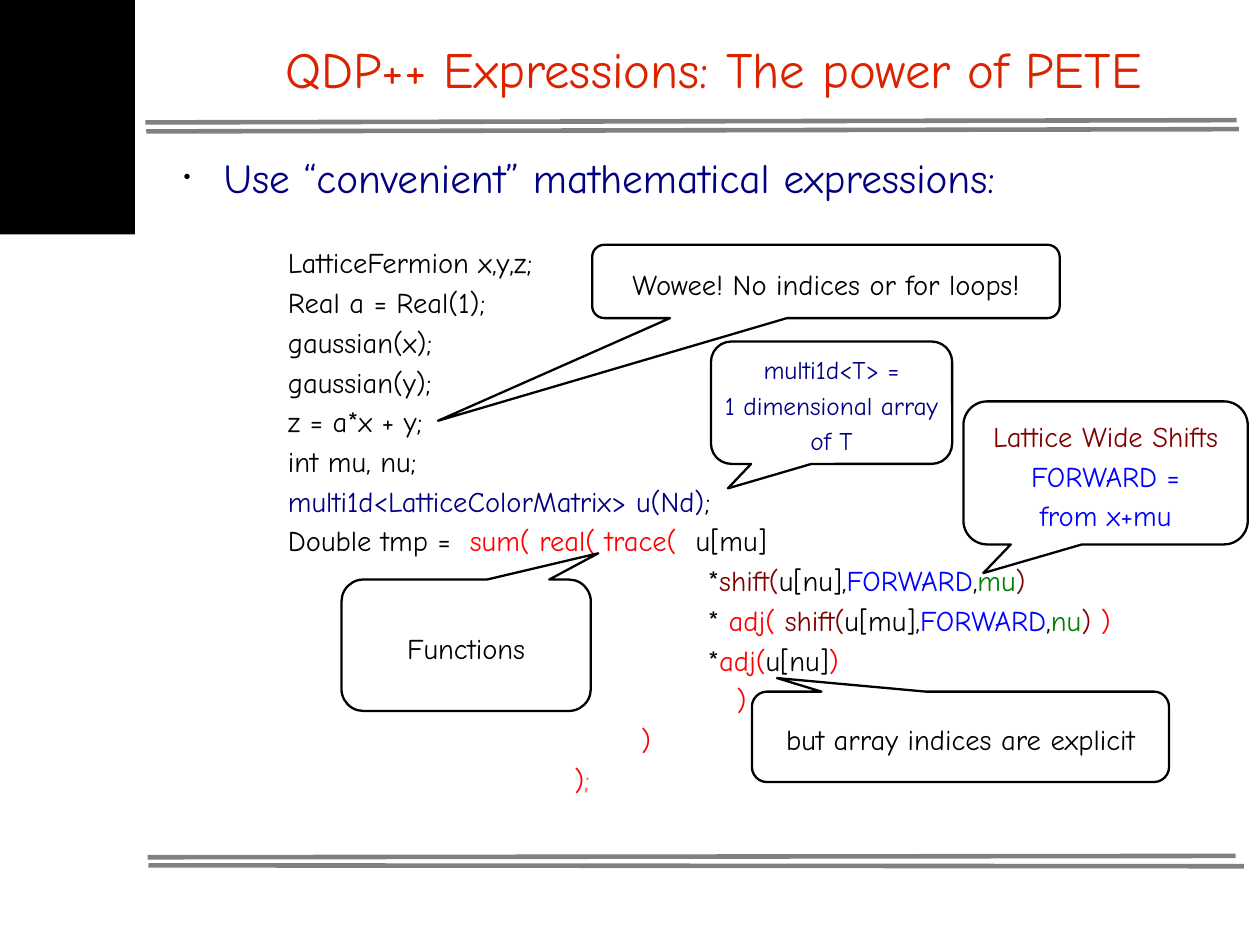
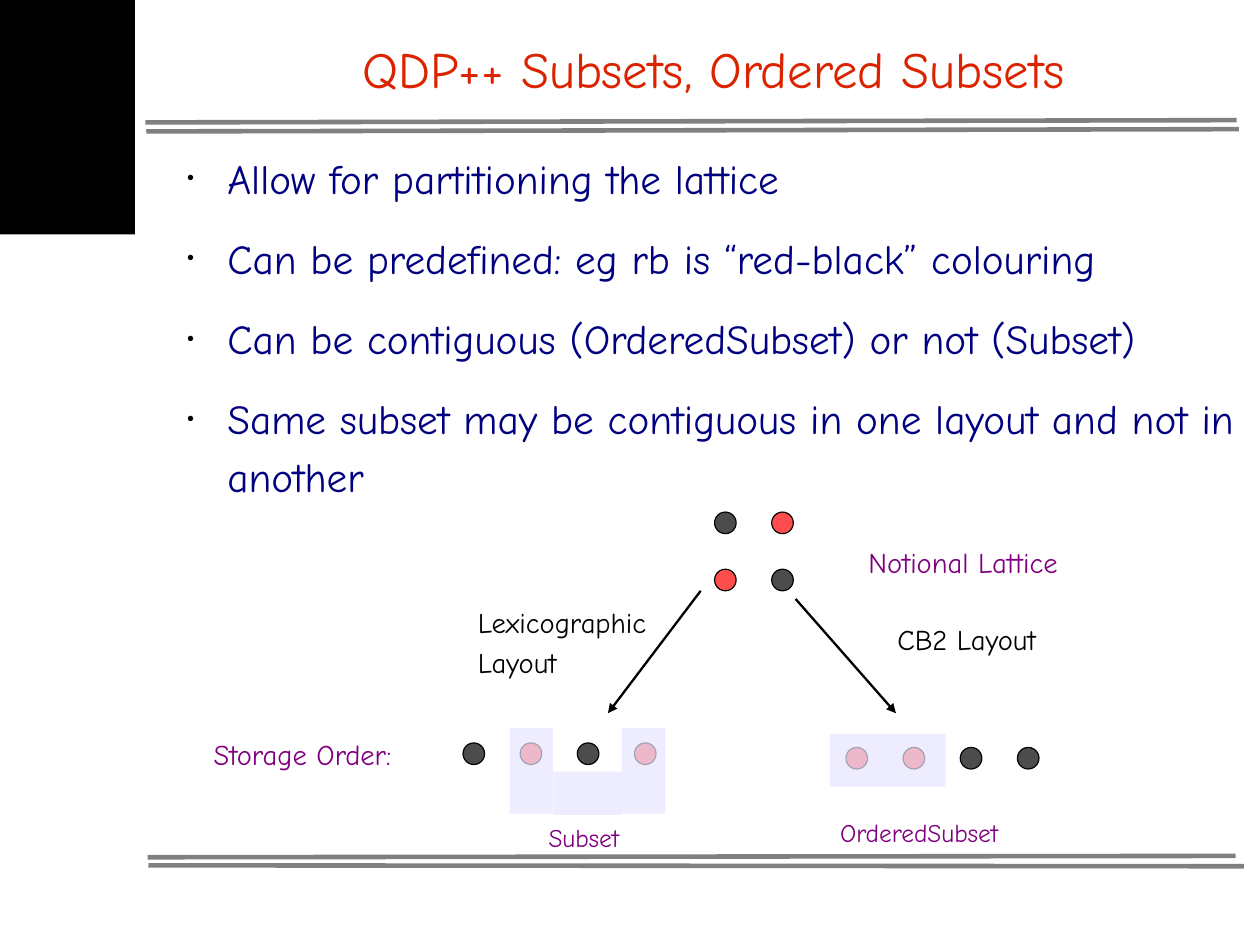
from dataclasses import dataclass
from typing import Optional

from lxml import etree
from pptx import Presentation
from pptx.dml.color import RGBColor
from pptx.enum.shapes import MSO_CONNECTOR, MSO_SHAPE
from pptx.enum.text import MSO_ANCHOR, MSO_AUTO_SIZE, PP_ALIGN
from pptx.oxml.ns import qn
from pptx.util import Cm, Pt

BLACK = RGBColor(0x00, 0x00, 0x00)
GREY = RGBColor(0x80, 0x80, 0x80)
TITLE_RED = RGBColor(0xDC, 0x23, 0x00)
NAVY = RGBColor(0x00, 0x00, 0x80)
RED = RGBColor(0xFF, 0x00, 0x00)
MAROON = RGBColor(0x80, 0x00, 0x00)
BLUE = RGBColor(0x00, 0x00, 0xFF)
GREEN = RGBColor(0x00, 0x80, 0x00)
ORANGE = RGBColor(0xFF, 0x66, 0x33)
PURPLE = RGBColor(0x80, 0x00, 0x80)
LAVENDER = RGBColor(0xE6, 0xE6, 0xFF)

LEFT, CENTER = PP_ALIGN.LEFT, PP_ALIGN.CENTER
TOP, MIDDLE = MSO_ANCHOR.TOP, MSO_ANCHOR.MIDDLE
NO_AUTOFIT = MSO_AUTO_SIZE.NONE
STRAIGHT = MSO_CONNECTOR.STRAIGHT
RECTANGLE, OVAL = MSO_SHAPE.RECTANGLE, MSO_SHAPE.OVAL
CALLOUT = MSO_SHAPE.ROUNDED_RECTANGULAR_CALLOUT

FONT = "Comic Neue"
LINE_SPACING = 1.16
OPACITY = 70
DOT_SIZE = 0.48
DOT_PITCH = 1.27
WIDE_INSETS = (0.28, 0.15)
LABEL_INSETS = (0.25, 0.13)
CODE_INDENT = " " * 44


@dataclass(frozen=True)
class Run:
    text: str
    color: RGBColor = BLACK


@dataclass(frozen=True)
class Box:
    left: float
    top: float
    width: float
    height: float

    def lengths(self) -> tuple:
        return Cm(self.left), Cm(self.top), Cm(self.width), Cm(self.height)


@dataclass(frozen=True)
class Line:
    start: tuple
    end: tuple


@dataclass(frozen=True)
class Callout:
    box: Box
    tip: tuple
    lines: list
    size: int = 18


@dataclass(frozen=True)
class Label:
    box: Box
    lines: list
    size: int = 18
    insets: tuple = LABEL_INSETS


@dataclass(frozen=True)
class DotRow:
    left: float
    top: float
    colors: tuple


RULES = [
    Line((3.23, 2.72), (27.48, 2.67)),
    Line((3.25, 2.92), (27.53, 2.87)),
    Line((3.28, 19.05), (27.46, 19.02)),
    Line((3.3, 19.23), (27.64, 19.25)),
]
CORNER = Box(0, 0, 3, 5.21)
TITLE_BOX = Box(3.99, 0.28, 23.75, 2.24)

CODE_BOX = Box(6.12, 5.18, 19.18, 12.67)
CODE = [
    [Run("LatticeFermion x,y,z;")],
    [Run("Real a = Real(1);")],
    [Run("gaussian(x);")],
    [Run("gaussian(y);")],
    [Run("z = a*x + y;")],
    [Run("int mu, nu;")],
    [Run("multi1d<LatticeColorMatrix> u(Nd)", NAVY), Run(";")],
    [Run("Double tmp =  "), Run("sum( real( trace( ", RED), Run(" u[mu]")],
    [Run(CODE_INDENT + "*"), Run("shift(", MAROON), Run("u[nu],"),
     Run("FORWARD", BLUE), Run(","), Run("mu", GREEN), Run(")", MAROON)],
    [Run(CODE_INDENT + "* "), Run("adj( ", RED), Run("shift(", MAROON),
     Run("u[mu],"), Run("FORWARD", BLUE), Run(","), Run("nu", GREEN),
     Run(") ", MAROON), Run(")", RED)],
    [Run(CODE_INDENT + "*"), Run("adj(", RED), Run("u[nu]"), Run(")", RED)],
    [Run(" " * 47 + ")", RED)],
    [Run(" " * 37 + ")", RED)],
    [Run(" " * 30 + ")", RED), Run(";", ORANGE)],
]
CALLOUTS = [
    Callout(Box(7.59, 12.88, 5.54, 2.92), (0.53, -0.7), [[Run("Functions")]]),
    Callout(Box(21.41, 8.92, 6.32, 3.18), (-0.43, 0.7),
            [[Run("Lattice Wide Shifts", MAROON)],
             [Run("FORWARD =", BLUE)], [Run("from x+mu", BLUE)]]),
    Callout(Box(15.8, 7.59, 5.36, 2.72), (-0.43, 0.7),
            [[Run("multi1d<T> =", NAVY)],
             [Run("1 dimensional array", NAVY)], [Run("of T", NAVY)]], 16),
    Callout(Box(13.16, 5.44, 10.39, 1.63), (-0.83, 1.9),
            [[Run("Wowee! No indices or for loops!")]]),
    Callout(Box(16.71, 15.37, 9.27, 2.01), (-0.44, -0.65),
            [[Run("but array indices are explicit")]]),
]

DOT_ROWS = [
    DotRow(15.88, 11.38, (BLACK, RED)),
    DotRow(15.88, 11.38 + DOT_PITCH, (RED, BLACK)),
    DotRow(10.29, 16.51, (BLACK, RED, BLACK, RED)),
    DotRow(18.8, 16.61, (RED, RED, BLACK, BLACK)),
]
HIGHLIGHTS = [
    Box(13.82, 16.18, 0.96, 1.9),
    Box(11.33, 16.18, 0.96, 1.9),
    Box(12.3, 17.15, 1.52, 0.96),
    Box(18.44, 16.31, 2.57, 1.17),
]
LABELS = [
    Label(Box(19.05, 11.86, 6.99, 1.14), [[Run("Notional Lattice", PURPLE)]]),
    Label(Box(4.5, 16.13, 5.18, 1.14), [[Run("Storage Order:", PURPLE)]]),
    Label(Box(11.94, 18.03, 3.78, 1.04), [[Run("Subset", PURPLE)]], 16),
    Label(Box(18.42, 17.93, 4.9, 1.04), [[Run("OrderedSubset", PURPLE)]], 16),
    Label(Box(10.34, 13.18, 4.8, 2.06),
          [[Run("Lexicographic")], [Run("Layout")]], 18, WIDE_INSETS),
    Label(Box(19.66, 13.54, 4.2, 1.19), [[Run("CB2 Layout")]], 18, WIDE_INSETS),
]
ARROWS = [
    Line((15.57, 13.13), (13.51, 15.85)),
    Line((17.68, 13.31), (19.91, 15.85)),
]


def add_bullet(paragraph) -> None:
    properties = paragraph._p.get_or_add_pPr()
    properties.set("marL", str(Cm(1.19)))
    properties.set("indent", str(Cm(-0.89)))
    color = etree.SubElement(properties, qn("a:buClr"))
    etree.SubElement(color, qn("a:srgbClr")).set("val", str(BLACK))
    etree.SubElement(properties, qn("a:buSzPct")).set("val", "48000")
    etree.SubElement(properties, qn("a:buChar")).set("char", "•")


def write_text(shape, lines: list, *, size: int = 18, align=LEFT, anchor=TOP,
               insets: tuple = (0, 0), wrap: bool = True,
               bullets: bool = False, space_after: float = 0) -> None:
    frame = shape.text_frame
    frame.auto_size = NO_AUTOFIT
    frame.word_wrap = wrap
    frame.vertical_anchor = anchor
    frame.margin_left = frame.margin_right = Cm(insets[0])
    frame.margin_top = frame.margin_bottom = Cm(insets[1])
    for index, runs in enumerate(lines):
        paragraph = frame.add_paragraph() if index else frame.paragraphs[0]
        if bullets:
            add_bullet(paragraph)
        paragraph.alignment = align
        paragraph.line_spacing = LINE_SPACING
        paragraph.space_before = Pt(0)
        paragraph.space_after = Pt(space_after)
        for piece in runs:
            run = paragraph.add_run()
            run.text = piece.text
            run.font.name = FONT
            run.font.size = Pt(size)
            run.font.color.rgb = piece.color


def place(shape, box: Box) -> None:
    shape.left, shape.top, shape.width, shape.height = box.lengths()


def add_shape(slide, kind, box: Box, *, fill: Optional[RGBColor] = None,
              opacity: int = 100, line_width: float = 0):
    shape = slide.shapes.add_shape(kind, *box.lengths())
    shape.shadow.inherit = False
    if fill is None:
        shape.fill.background()
    else:
        shape.fill.solid()
        shape.fill.fore_color.rgb = fill
        if opacity < 100:
            color = shape.element.xpath("./p:spPr/a:solidFill/a:srgbClr")[0]
            etree.SubElement(color, qn("a:alpha")).set("val", str(opacity * 1000))
    if line_width:
        shape.line.color.rgb = BLACK
        shape.line.width = Pt(line_width)
    else:
        shape.line.fill.background()
    return shape


def add_line(slide, line: Line, *, color: RGBColor, width: float,
             arrow: bool = False):
    ends = [Cm(value) for value in line.start + line.end]
    connector = slide.shapes.add_connector(STRAIGHT, *ends)
    connector.line.color.rgb = color
    connector.line.width = Pt(width)
    if arrow:
        outline = connector.element.xpath("./p:spPr/a:ln")[0]
        etree.SubElement(outline, qn("a:tailEnd")).set("type", "triangle")
    etree.SubElement(connector.element.spPr, qn("a:effectLst"))
    return connector


def add_frame(layout, slide) -> None:
    place(layout.placeholders[0], TITLE_BOX)
    parts = [add_line(slide, rule, color=GREY, width=2.89) for rule in RULES]
    parts.append(add_shape(slide, RECTANGLE, CORNER, fill=BLACK))
    for identifier, part in enumerate(parts, start=100):
        part.element.xpath("./*/p:cNvPr")[0].set("id", str(identifier))
        layout.shapes.element.append(part.element)


def fill_placeholders(slide, title: str, body_box: Box, points: list) -> None:
    write_text(slide.shapes.title, [[Run(title, TITLE_RED)]], size=32,
               align=CENTER, anchor=MIDDLE)
    body = slide.placeholders[1]
    place(body, body_box)
    write_text(body, [[Run(point, NAVY)] for point in points], size=26,
               bullets=True, space_after=14.3)


def add_label(slide, label: Label) -> None:
    text_box = slide.shapes.add_textbox(*label.box.lengths())
    write_text(text_box, label.lines, size=label.size, insets=label.insets)


def add_callout(slide, callout: Callout) -> None:
    shape = add_shape(slide, CALLOUT, callout.box, line_width=1.45)
    shape.adjustments[0], shape.adjustments[1] = callout.tip
    write_text(shape, callout.lines, size=callout.size, align=CENTER,
               anchor=MIDDLE, insets=WIDE_INSETS, wrap=False)


def add_dots(slide, row: DotRow) -> None:
    for column, color in enumerate(row.colors):
        box = Box(row.left + column * DOT_PITCH, row.top, DOT_SIZE, DOT_SIZE)
        add_shape(slide, OVAL, box, fill=color, opacity=OPACITY, line_width=0.75)


def build_expressions(slide) -> None:
    fill_placeholders(slide, "QDP++ Expressions: The power of PETE",
                      Box(3.78, 3.2, 23.72, 1.6),
                      ["Use “convenient” mathematical expressions:"])
    add_label(slide, Label(CODE_BOX, CODE, 18, WIDE_INSETS))
    for callout in CALLOUTS:
        add_callout(slide, callout)


def build_subsets(slide) -> None:
    fill_placeholders(slide, "QDP++ Subsets, Ordered Subsets",
                      Box(3.86, 3.23, 23.72, 8.38),
                      ["Allow for partitioning the lattice",
                       "Can be predefined: eg rb is “red-black” colouring",
                       "Can be contiguous (OrderedSubset) or not (Subset)",
                       "Same subset may be contiguous in one layout and not in another"])
    for row in DOT_ROWS:
        add_dots(slide, row)
    for box in HIGHLIGHTS:
        add_shape(slide, RECTANGLE, box, fill=LAVENDER, opacity=OPACITY)
    for label in LABELS:
        add_label(slide, label)
    for arrow in ARROWS:
        add_line(slide, arrow, color=BLACK, width=1.45, arrow=True)


def main() -> None:
    presentation = Presentation()
    presentation.slide_width, presentation.slide_height = Cm(28), Cm(21)
    layout = presentation.slide_layouts[1]
    expressions = presentation.slides.add_slide(layout)
    add_frame(layout, expressions)
    build_expressions(expressions)
    build_subsets(presentation.slides.add_slide(layout))
    presentation.save("out.pptx")


if __name__ == "__main__":
    main()
